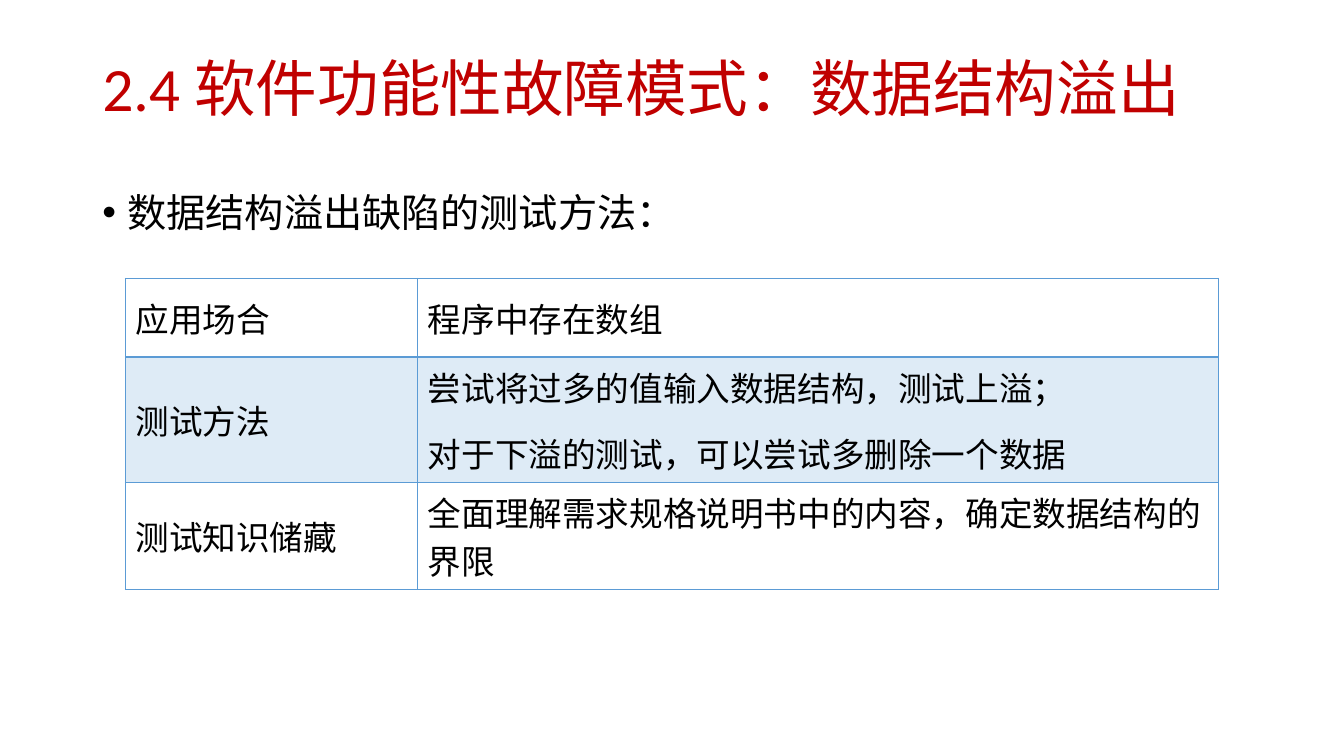
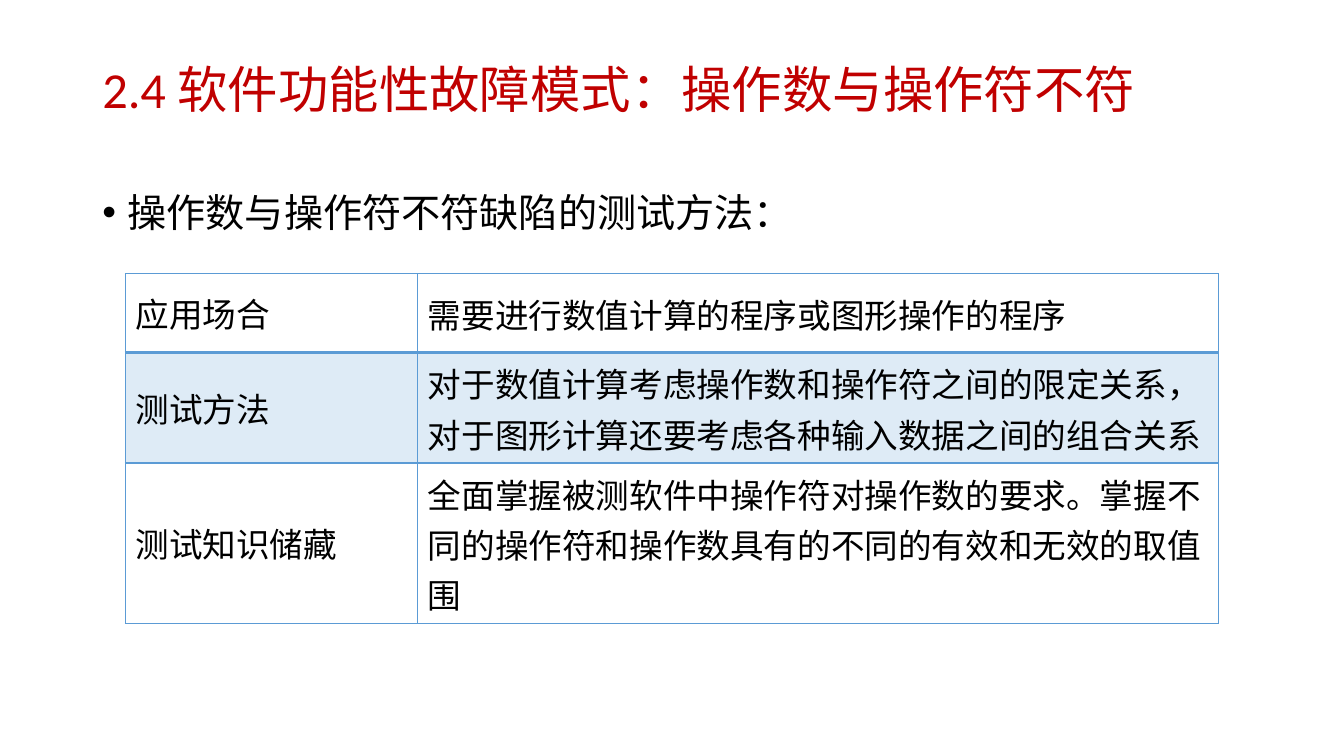
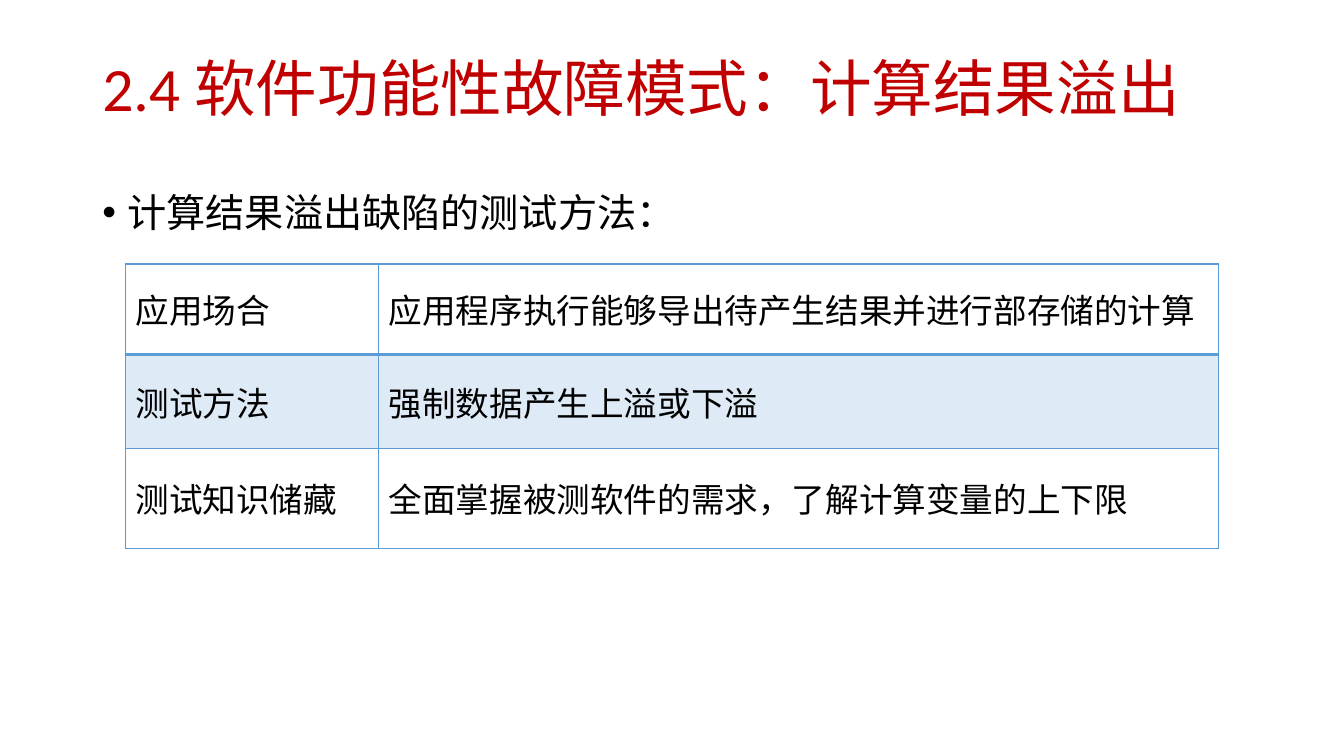
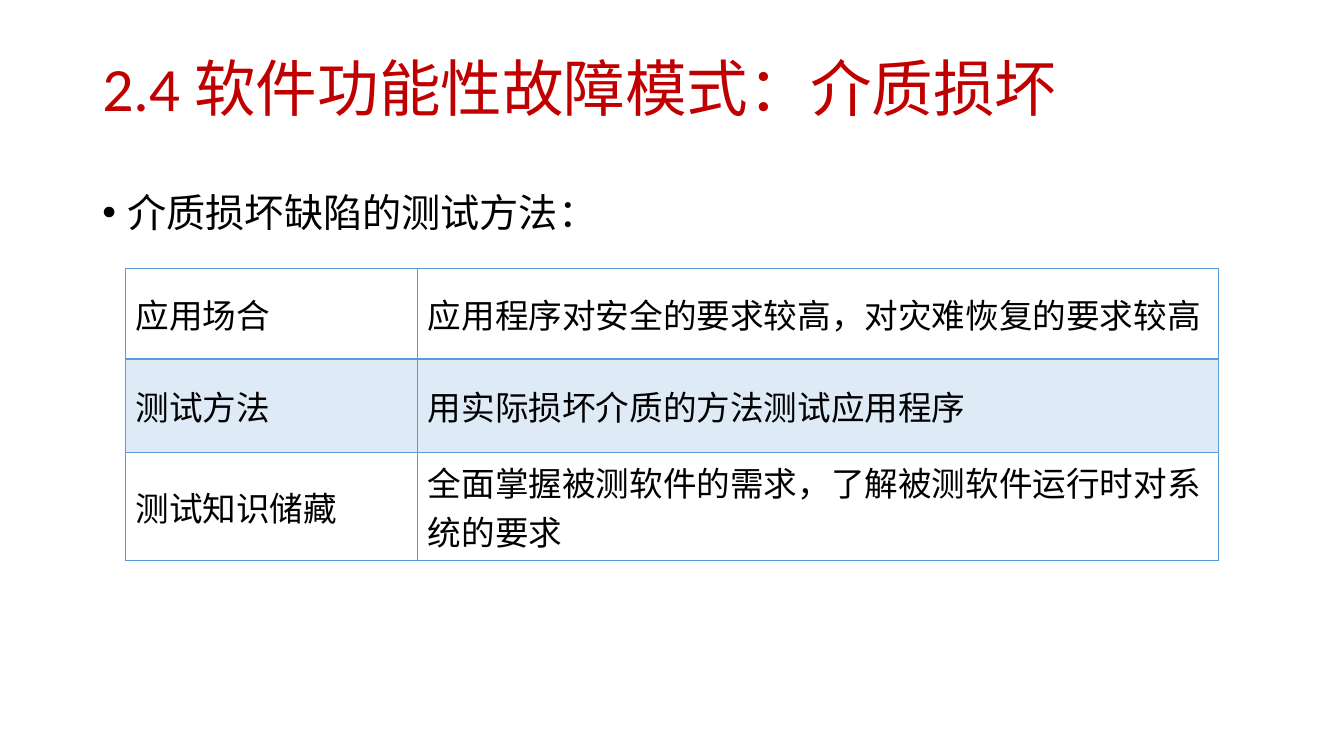
from dataclasses import dataclass

from lxml import etree
from pptx import Presentation
from pptx import util as u
from pptx.dml.color import RGBColor
from pptx.enum import text
from pptx.oxml import ns

Pt = u.Pt


@dataclass(frozen=True)
class Theme:
    title: str = "C00000"
    ink: str = "000000"
    accent: str = "5B9BD5"
    band_alpha: int = 20000
    latin: str = "Calibri"
    cjk: str = "Noto Sans CJK SC"
    title_size: int = 44
    lead_size: int = 28
    cell_size: int = 24
    rule: int = 1
    head_rule: int = 2


T = Theme()
SLIDE_W, SLIDE_H = 960, 540
TITLE_BOX = (66, 29, 828, 73)
LEAD_BOX = (66, 121, 828, 365)
TABLE_X, TABLE_W = 89.6, 780.5
LABELS = ("应用场合", "测试方法", "测试知识储藏")

TOPICS = [
    dict(
        topic="数据结构溢出", top=198.9, heights=(56.2, 89.3, 76.8),
        entries=(
            ["程序中存在数组"],
            ["尝试将过多的值输入数据结构，测试上溢；",
             "对于下溢的测试，可以尝试多删除一个数据"],
            ["全面理解需求规格说明书中的内容，确定数据结构的界限"],
        ),
    ),
    dict(
        topic="操作数与操作符不符", top=195.5, heights=(56.2, 79, 114.8),
        title_size=36, leading=Pt(35.8),
        entries=(
            ["需要进行数值计算的程序或图形操作的程序"],
            ["对于数值计算考虑操作数和操作符之间的限定关系，"
             "对于图形计算还要考虑各种输入数据之间的组合关系"],
            ["全面掌握被测软件中操作符对操作数的要求。"
             "掌握不同的操作符和操作数具有的不同的有效和无效的取值围"],
        ),
    ),
    dict(
        topic="计算结果溢出", top=188.5, heights=(64.8, 67, 71.3), label_w=180.8,
        entries=(
            ["应用程序执行能够导出待产生结果并进行部存储的计算"],
            ["强制数据产生上溢或下溢"],
            ["全面掌握被测软件的需求，了解计算变量的上下限"],
        ),
    ),
    dict(
        topic="介质损坏", top=191.6, heights=(64.8, 67, 76.8),
        entries=(
            ["应用程序对安全的要求较高，对灾难恢复的要求较高"],
            ["用实际损坏介质的方法测试应用程序"],
            ["全面掌握被测软件的需求，了解被测软件运行时对系统的要求"],
        ),
    ),
]


def set_attrs(obj, **values):
    for name, value in values.items():
        setattr(obj, name, value)


def sub(parent, tag, **attrs):
    return etree.SubElement(parent, ns.qn(tag), {k: str(v) for k, v in attrs.items()})


def add_run(p, content, size, color, latin=T.cjk):
    r = p.add_run()
    r.text = content
    set_attrs(r.font, size=Pt(size), name=latin)
    r.font.color.rgb = RGBColor.from_string(color)
    sub(r.font._element, "a:ea", typeface=T.cjk)


def add_text_box(s, box, anchor):
    tf = s.shapes.add_textbox(*map(Pt, box)).text_frame
    set_attrs(tf, word_wrap=True, vertical_anchor=anchor)
    return tf


def add_title(s, box, topic, size):
    p = add_text_box(s, box, text.MSO_ANCHOR.MIDDLE).paragraphs[0]
    p.line_spacing = 0.9
    add_run(p, f"2.4 软件功能性故障模式：{topic}", size, T.title, T.latin)


def add_lead(s, box, content):
    p = add_text_box(s, box, text.MSO_ANCHOR.TOP).paragraphs[0]
    p.line_spacing = 1.3
    pPr = p._p.get_or_add_pPr()
    for name, value in dict(marL=Pt(18), indent=-Pt(18)).items():
        pPr.set(name, str(value))
    sub(pPr, "a:buFont", typeface="Arial")
    sub(pPr, "a:buChar", char="•")
    add_run(p, content, T.lead_size, T.ink)


def style_cell(cell, row):
    tcPr = cell._tc.get_or_add_tcPr()
    widths = dict(
        lnL=T.rule,
        lnR=T.rule,
        lnT=T.head_rule if row == 1 else T.rule,
        lnB=T.head_rule if row == 0 else T.rule,
    )
    for side, width in widths.items():
        ln = sub(tcPr, f"a:{side}", w=Pt(width))
        sub(sub(ln, "a:solidFill"), "a:srgbClr", val=T.accent)
    if row % 2:
        cell.fill.solid()
        cell.fill.fore_color.rgb = RGBColor.from_string(T.accent)
        color = tcPr.find(ns.qn("a:solidFill")).find(ns.qn("a:srgbClr"))
        sub(color, "a:alpha", val=T.band_alpha)
    else:
        cell.fill.background()


def fill_cell(cell, lines, leading=None):
    cell.vertical_anchor = text.MSO_ANCHOR.MIDDLE
    tf = cell.text_frame
    for i, line in enumerate(lines):
        p = tf.add_paragraph() if i else tf.paragraphs[0]
        set_attrs(p, space_before=Pt(6 if i else 0), space_after=Pt(6),
                  line_spacing=leading)
        add_run(p, line, T.cell_size, T.ink)


def add_method_table(s, x, y, w, label_w, heights, entries, leading):
    table = s.shapes.add_table(
        len(LABELS), 2, Pt(x), Pt(y), Pt(w), Pt(sum(heights))).table
    set_attrs(table, first_row=False, horz_banding=False)
    for column, width in zip(table.columns, (label_w, w - label_w)):
        column.width = Pt(width)
    for i, (label, lines, height) in enumerate(zip(LABELS, entries, heights)):
        table.rows[i].height = Pt(height)
        fill_cell(table.cell(i, 0), [label])
        fill_cell(table.cell(i, 1), lines, leading)
        for cell in table.rows[i].cells:
            style_cell(cell, i)


def add_topic_slide(prs, topic, top, heights, entries,
                    label_w=208.8, title_size=T.title_size, leading=None):
    s = prs.slides.add_slide(prs.slide_layouts[6])
    add_title(s, TITLE_BOX, topic, title_size)
    add_lead(s, LEAD_BOX, f"{topic}缺陷的测试方法：")
    add_method_table(s, TABLE_X, top, TABLE_W, label_w, heights, entries, leading)


def main():
    prs = Presentation()
    set_attrs(prs, slide_width=Pt(SLIDE_W), slide_height=Pt(SLIDE_H))
    for topic in TOPICS:
        add_topic_slide(prs, **topic)
    prs.save("out.pptx")


if __name__ == "__main__":
    main()
